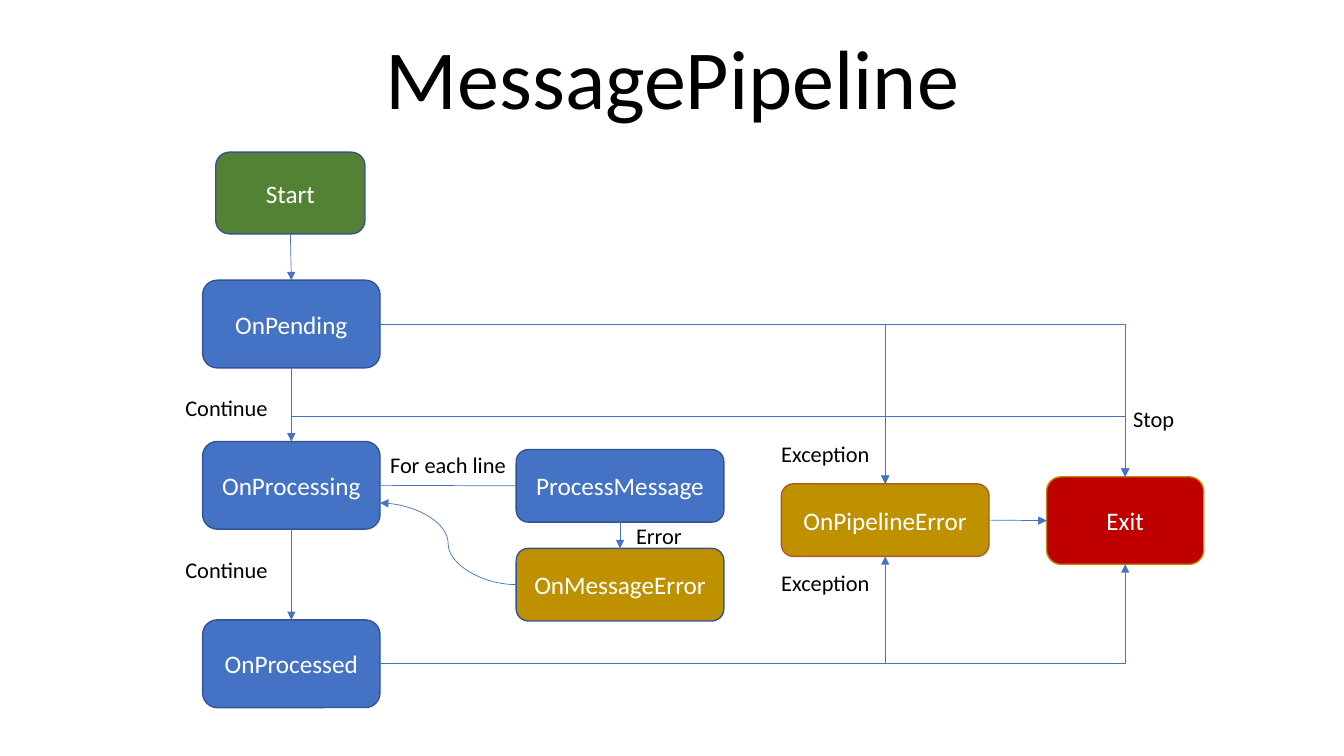
from pptx import Presentation, util as u
from pptx.dml.color import RGBColor
from pptx.enum import shapes, text
from pptx.oxml.ns import qn
from lxml import etree

INK = {"blue": "4472C4", "navy": "325491", "green": "548235", "red": "C00000",
       "gold": "BF9000", "amber": "BD8E00", "rust": "AF5C24",
       "white": "FFFFFF", "black": "000000"}
FONT = "Calibri"
TITLE = ("MessagePipeline", 1.57, 0.28, 10.2, 1.04)
STEP, TASK = (1.76, 0.87), (2.06, 0.72)
NODES = [
    ("Start", 2.14, 1.51, (1.48, 0.81), "green", "navy"),
    ("Exit", 10.38, 4.73, (1.56, 0.87), "red", "amber"),
    ("OnPending", 2.01, 2.78, STEP, "blue", "navy"),
    ("OnProcessing", 2.01, 4.38, STEP, "blue", "navy"),
    ("OnProcessed", 2.01, 6.15, STEP, "blue", "navy"),
    ("ProcessMessage", 5.12, 4.46, TASK, "blue", "navy"),
    ("OnPipelineError", 7.75, 4.8, TASK, "gold", "rust"),
    ("OnMessageError", 5.12, 5.44, TASK, "gold", "navy"),
]
TOP, LEFT, BOTTOM, RIGHT = range(4)
STRAIGHT = [
    ("Start", BOTTOM, "OnPending", TOP, True),
    ("OnPending", BOTTOM, "OnProcessing", TOP, True),
    ("OnProcessing", BOTTOM, "OnProcessed", TOP, True),
    ("OnPipelineError", RIGHT, "Exit", LEFT, True),
    ("ProcessMessage", BOTTOM, "OnMessageError", TOP, True),
    ("OnProcessing", RIGHT, "ProcessMessage", LEFT, False),
]
CORNERS = [
    ("OnPending", "Exit", TOP),
    ("OnPending", "OnPipelineError", TOP),
    ("OnProcessed", "Exit", BOTTOM),
    ("OnProcessed", "OnPipelineError", BOTTOM),
]
LOOPS = ["Exit", "OnPipelineError"]
RISE = 0.25
RETURN = (3.77, 4.99)
LABELS = [
    ("Stop", 11.14, 3.97, 0.82),
    ("Exception", 7.65, 4.32, 1.26),
    ("Exception", 7.65, 5.6, 1.26),
    ("Continue", 1.74, 3.86, 1.06),
    ("Continue", 1.74, 5.47, 1.06),
    ("For each line", 3.77, 4.43, 1.39),
    ("Error", 6.21, 5.13, 0.82),
]

deck = Presentation()
deck.slide_width, deck.slide_height = u.Inches(13.33), u.Inches(7.5)
slide = deck.slides.add_slide(deck.slide_layouts[6])
KIND = shapes.MSO_CONNECTOR


def tint(name):
    return RGBColor.from_string(INK[name])


def write(shape, words, size, color, align, anchor):
    frame = shape.text_frame
    for key, value in {"word_wrap": True, "vertical_anchor": anchor}.items():
        setattr(frame, key, value)
    para = frame.paragraphs[0]
    para.alignment = align
    run = para.add_run()
    run.text = words
    for key, value in {"name": FONT, "size": u.Pt(size)}.items():
        setattr(run.font, key, value)
    run.font.color.rgb = tint(color)
    return para


def label(words, x, y, w, h, size, align, anchor):
    box = slide.shapes.add_textbox(*map(u.Inches, (x, y, w, h)))
    return write(box, words, size, "black", align, anchor)


def wire(kind, start, end, arrow=True):
    line = slide.shapes.add_connector(kind, *map(u.Inches, start + end))
    line.line.width = u.Pt(0.5)
    line.line.color.rgb = tint("blue")
    props = line.element.spPr
    if arrow:
        etree.SubElement(props.find(qn("a:ln")), qn("a:tailEnd"), type="triangle")
    etree.SubElement(props, qn("a:effectLst"))
    return line


def port(name, side):
    x, y, (w, h) = spots[name]
    return [(x + w / 2, y), (x, y + h / 2),
            (x + w / 2, y + h), (x + w, y + h / 2)][side]


center, left = text.PP_ALIGN.CENTER, text.PP_ALIGN.LEFT
middle, top, bottom = (getattr(text.MSO_ANCHOR, n) for n in ("MIDDLE", "TOP", "BOTTOM"))
label(*TITLE, 60, center, bottom).line_spacing = 0.9

boxes, spots = {}, {}
for name, x, y, size, fill, edge in NODES:
    box = slide.shapes.add_shape(shapes.MSO_SHAPE.ROUNDED_RECTANGLE,
                                 *map(u.Inches, (x, y) + size))
    box.shadow.inherit = False
    box.fill.solid()
    box.fill.fore_color.rgb = tint(fill)
    box.line.color.rgb = tint(edge)
    box.line.width = u.Pt(1)
    write(box, name, 18, "white", center, middle)
    boxes[name], spots[name] = box, (x, y, size)

for first, out, last, into, arrow in STRAIGHT:
    line = wire(KIND.STRAIGHT, port(first, out), port(last, into), arrow)
    line.begin_connect(boxes[first], out)
    line.end_connect(boxes[last], into)

for first, last, into in CORNERS:
    line = wire(KIND.ELBOW, port(first, RIGHT), port(last, into))
    line.element.spPr.find(qn("a:prstGeom")).set("prst", "bentConnector2")

for last in LOOPS:
    (ax, ay), (bx, by) = port("OnProcessing", TOP), port(last, TOP)
    cx, cy, dx, dy = (ax + bx) / 2, (ay + by) / 2, (bx - ax) / 2, (by - ay) / 2
    line = wire(KIND.ELBOW, (cx + dy, cy - dx), (cx - dy, cy + dx))
    props = line.element.spPr
    props.find(qn("a:xfrm")).set("rot", str(270 * 60000))
    guides = props.find(qn("a:prstGeom")).find(qn("a:avLst"))
    etree.SubElement(guides, qn("a:gd"), name="adj1",
                     fmla=f"val {round(-RISE / (by - ay) * 100000)}")

wire(KIND.CURVE, port("OnMessageError", LEFT), RETURN)

for words, x, y, w in LABELS:
    label(words, x, y, w, 0.37, 16, left, top)

deck.save("out.pptx")
